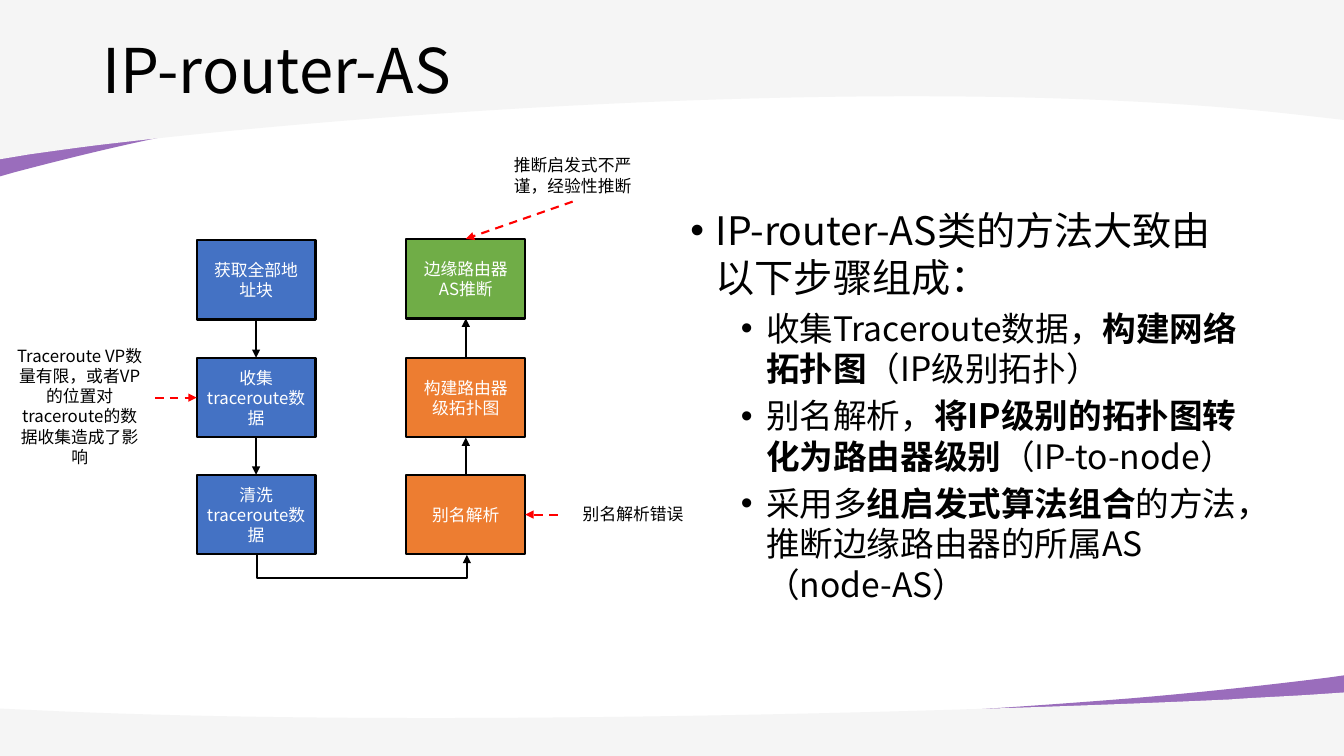
from dataclasses import dataclass

from lxml import etree
from pptx import Presentation
from pptx.dml.color import RGBColor
from pptx.enum.dml import MSO_LINE_DASH_STYLE as Dash
from pptx.enum.shapes import MSO_CONNECTOR as Connector, MSO_SHAPE as Preset
from pptx.enum.text import MSO_ANCHOR as Anchor, PP_ALIGN as Align
from pptx.oxml.ns import qn
from pptx.util import Inches, Pt


@dataclass(frozen=True)
class Theme:
    font: str = "Noto Sans CJK SC"
    black: str = "000000"
    white: str = "FFFFFF"
    band: str = "F5F5F5"
    accent: str = "7030A0"
    collect: str = "4472C4"
    resolve: str = "ED7D31"
    infer: str = "70AD47"
    warning: str = "FF0000"
    title_size: int = 44
    body_size: int = 28
    step_size: int = 24
    label_size: int = 12
    line_width: float = 1.5


THEME = Theme()
TOP, LEFT, BOTTOM, RIGHT = range(4)  # connection sites of a rectangle
BOX_WIDTH, BOX_HEIGHT = 1.18, 0.79

# Outlines: two numbers are a line, six are a cubic curve.
BOTTOM_ACCENT = [(13.33, 6.7), (13.33, 7.35), (0, 7.35), (0, 7.08), (0.01, 7.08),
                 (3.01, 7.41, 8.2, 7.17, 11.19, 6.93),
                 (11.79, 6.88, 12.47, 6.81, 13.19, 6.72), (13.33, 6.7)]
BOTTOM_BAND = [(13.33, 6.87), (13.33, 7.12), (13.33, 7.15), (13.33, 7.5), (0, 7.5),
               (0, 7.15), (0, 7.12), (0, 7.03), (0.44, 7.05),
               (3.92, 7.21, 9.1, 7.08, 12.19, 6.94),
               (12.46, 6.92, 12.74, 6.91, 13.04, 6.89)]
TOP_ACCENT = [(0, 1.75), (0, 0.34), (13.33, 0.34), (13.33, 0.92), (13.32, 0.92),
              (10.32, 0.22, 5.14, 0.72, 2.14, 1.26),
              (1.54, 1.36, 0.86, 1.52, 0.14, 1.71), (0, 1.75)]
TOP_BAND = [(0, 1.58), (0, 0.94), (0, 0.89), (0, 0), (13.33, 0), (13.33, 0.89),
            (13.33, 0.94), (13.33, 1.19), (12.89, 1.14),
            (9.42, 0.74, 4.23, 1.06, 1.14, 1.42),
            (0.87, 1.45, 0.59, 1.49, 0.3, 1.53)]

# Each paragraph is a list of (text, bold) runs.
INTRO = [("IP-router-AS类的方法大致由以下步骤组成：", False)]
STEPS = [
    [("收集Traceroute数据，", False), ("构建网络拓扑图", True), ("（IP级别拓扑）", False)],
    [("别名解析，", False), ("将IP级别的拓扑图转化为路由器级别", True),
     ("（IP-to-node）", False)],
    [("采用多", False), ("组启发式算法组合", True),
     ("的方法，推断边缘路由器的所属AS（node-AS）", False)],
]


def add_run(paragraph, text, size, color, bold=False):
    run = paragraph.add_run()
    run.text = text
    formats = {"name": THEME.font, "size": Pt(size), "bold": bold}
    for name, value in formats.items():
        setattr(run.font, name, value)
    run.font.color.rgb = RGBColor.from_string(color)
    east_asian = etree.SubElement(run.font._element, qn("a:ea"))
    east_asian.set("typeface", THEME.font)


def add_text_box(slide, left, top, width, height, anchor=Anchor.TOP):
    box = slide.shapes.add_textbox(*map(Inches, (left, top, width, height)))
    box.text_frame.word_wrap = True
    box.text_frame.vertical_anchor = anchor
    return box.text_frame


def bend(band, outline):
    """Turn the straight segments that have control points into cubic curves."""
    lines = band._element.findall(".//" + qn("a:lnTo"))
    for line, segment in zip(lines, outline[1:]):
        if len(segment) == 6:
            line.tag = qn("a:cubicBezTo")
            for index, (x, y) in enumerate((segment[:2], segment[2:4])):
                control = etree.Element(qn("a:pt"))
                control.set("x", str(Inches(x) - band.left))
                control.set("y", str(Inches(y) - band.top))
                line.insert(index, control)


def add_band(slide, outline, color, opacity=100):
    anchors = [tuple(map(Inches, segment[-2:])) for segment in outline]
    builder = slide.shapes.build_freeform(*anchors[0])
    builder.add_line_segments(anchors[1:], close=True)
    band = builder.convert_to_shape()
    bend(band, outline)
    band.shadow.inherit = False
    band.line.fill.background()
    band.fill.solid()
    band.fill.fore_color.rgb = RGBColor.from_string(color)
    if opacity < 100:
        color_element = band._element.spPr.find(".//" + qn("a:srgbClr"))
        etree.SubElement(color_element, qn("a:alpha")).set("val", str(opacity * 1000))


def add_background(slide):
    for accent, band in ((BOTTOM_ACCENT, BOTTOM_BAND), (TOP_ACCENT, TOP_BAND)):
        add_band(slide, accent, THEME.accent, 70)
        add_band(slide, band, THEME.band)


def add_title(slide, left, top, width, height):
    frame = add_text_box(slide, left, top, width, height, Anchor.MIDDLE)
    frame.paragraphs[0].line_spacing = 0.9
    add_run(frame.paragraphs[0], "IP-router-AS", THEME.title_size, THEME.black)


def add_bullet(paragraph, runs, size, margin, space_before, level):
    paragraph.level = level
    paragraph.space_before = Pt(space_before)
    properties = paragraph._p.get_or_add_pPr()
    properties.set("marL", str(Inches(margin)))
    properties.set("indent", str(Inches(-0.25)))
    etree.SubElement(properties, qn("a:buFont")).set("typeface", "Arial")
    etree.SubElement(properties, qn("a:buChar")).set("char", "•")
    for text, bold in runs:
        add_run(paragraph, text, size, THEME.black, bold)


def add_summary(slide, left, top, width, height):
    frame = add_text_box(slide, left, top, width, height)
    add_bullet(frame.paragraphs[0], INTRO, THEME.body_size, 0.25, 10, 0)
    for step in STEPS:
        add_bullet(frame.add_paragraph(), step, THEME.step_size, 0.75, 5, 1)


def add_step(slide, left, top, text, color):
    box = slide.shapes.add_shape(
        Preset.RECTANGLE, *map(Inches, (left, top, BOX_WIDTH, BOX_HEIGHT)))
    box.shadow.inherit = False
    box.fill.solid()
    box.fill.fore_color.rgb = RGBColor.from_string(color)
    box.line.color.rgb = RGBColor.from_string(THEME.black)
    box.line.width = Pt(THEME.line_width)
    box.text_frame.vertical_anchor = Anchor.MIDDLE
    paragraph = box.text_frame.paragraphs[0]
    paragraph.alignment = Align.CENTER
    add_run(paragraph, text, THEME.label_size, THEME.white)
    return box


def add_arrow(slide, start=(0, 0), end=(0, 0), color=THEME.black,
              kind=Connector.STRAIGHT):
    arrow = slide.shapes.add_connector(kind, *map(Inches, (*start, *end)))
    arrow.line.color.rgb = RGBColor.from_string(color)
    arrow.line.width = Pt(THEME.line_width)
    if color == THEME.warning:
        arrow.line.dash_style = Dash.DASH
    etree.SubElement(arrow.line._get_or_add_ln(), qn("a:tailEnd")).set("type", "triangle")
    etree.SubElement(arrow._element.spPr, qn("a:effectLst"))
    return arrow


def add_turn(slide, left, right, top, drop):
    """Lead an arrow down from left, across, and up into right."""
    middle, half, offset = (left + right) / 2, (right - left) / 2, 0.01
    arrow = add_arrow(slide, (middle + offset / 2, top - half),
                      (middle - offset / 2, top + half), kind=Connector.ELBOW)
    properties = arrow._element.spPr
    properties.find(qn("a:xfrm")).set("rot", str(270 * 60000))
    guide = etree.SubElement(properties.find(".//" + qn("a:avLst")), qn("a:gd"))
    guide.set("name", "adj1")
    guide.set("fmla", f"val {round(drop / offset * 100000)}")


def add_note(slide, left, top, height, text, start, target, site):
    """Place a remark with a dashed arrow to one side of the target box."""
    frame = add_text_box(slide, left, top, 1.5, height)
    frame.paragraphs[0].alignment = Align.CENTER
    add_run(frame.paragraphs[0], text, THEME.label_size, THEME.black)
    add_arrow(slide, start, start, THEME.warning).end_connect(target, site)


def add_workflow(slide, left, top):
    right = left + 2.08
    rows = [top + offset for offset in (0, 1.17, 2.33)]
    steps = [(left, rows[0], "获取全部地址块", THEME.collect),
             (left, rows[1], "收集traceroute数据", THEME.collect),
             (left, rows[2], "清洗traceroute数据", THEME.collect),
             (right, rows[2], "别名解析", THEME.resolve),
             (right, rows[1], "构建路由器级拓扑图", THEME.resolve),
             (right, rows[0] - 0.01, "边缘路由器AS推断", THEME.infer)]
    boxes = [add_step(slide, *step) for step in steps]
    for first, leave, enter in ((0, BOTTOM, TOP), (1, BOTTOM, TOP),
                                (3, TOP, BOTTOM), (4, TOP, BOTTOM)):
        arrow = add_arrow(slide)
        arrow.begin_connect(boxes[first], leave)
        arrow.end_connect(boxes[first + 1], enter)
    center = BOX_WIDTH / 2 + 0.01
    add_turn(slide, left + center, right + center, rows[2] + BOX_HEIGHT, 0.24)
    add_note(slide, left - 1.91, top + 1, 1.11,
             "Traceroute VP数量有限，或者VP的位置对traceroute的数据收集造成了影响",
             (left - 0.41, rows[1] + BOX_HEIGHT / 2), boxes[1], LEFT)
    add_note(slide, right + 0.9, top - 0.89, 0.5, "推断启发式不严谨，经验性推断",
             (right + 1.65, top - 0.38), boxes[5], TOP)
    add_note(slide, right + 1.5, rows[2] + 0.24, 0.3, "别名解析错误",
             (right + 1.5, rows[2] + BOX_HEIGHT / 2), boxes[3], RIGHT)


def main():
    presentation = Presentation()
    presentation.slide_width, presentation.slide_height = Inches(13.33), Inches(7.5)
    slide = presentation.slides.add_slide(presentation.slide_layouts[6])
    add_background(slide)
    add_title(slide, 0.92, 0, 11.5, 1.45)
    add_summary(slide, 6.75, 2, 5.67, 4.76)
    add_workflow(slide, 1.95, 2.38)
    presentation.save("out.pptx")


if __name__ == "__main__":
    main()
